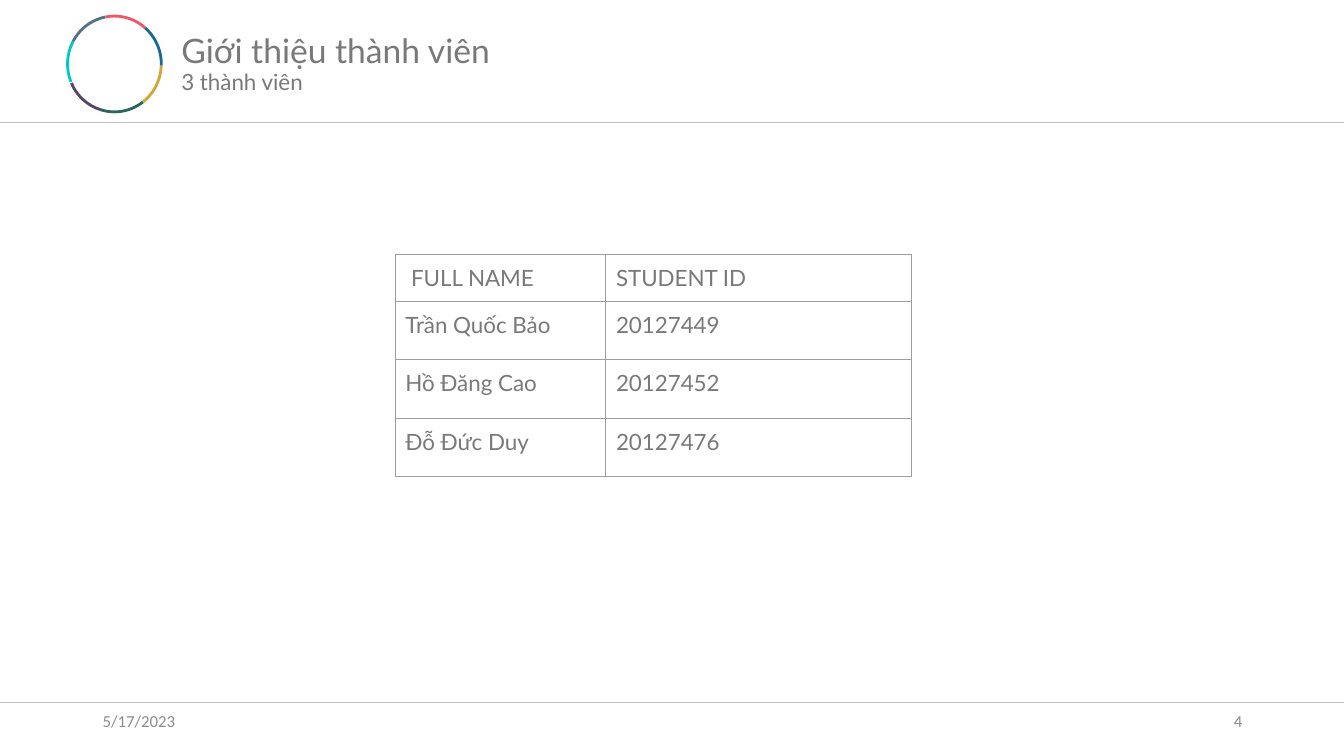
from lxml.etree import SubElement
from pptx import Presentation
from pptx.dml.color import RGBColor
from pptx.enum.shapes import MSO_CONNECTOR, MSO_SHAPE
from pptx.enum.text import MSO_ANCHOR, MSO_AUTO_SIZE, PP_ALIGN
from pptx.oxml.ns import qn
from pptx.util import Inches, Pt

WIDTH, HEIGHT = 13.33, 7.5
GRAY, PALE, RULE, EDGE = "797979", "8C8C8C", "BFBFBF", "9E9E9E"
ARCS = [
    (106.35, 156.17, "574563"),
    (157.56, 208.79, "01C9CB"),
    (259.32, 310.76, "F05568"),
    (310.8, 2.08, "1A6893"),
    (2.16, 52.7, "D6A633"),
    (53.04, 106.63, "29675C"),
    (208.7, 259.1, "547287"),
]
MEMBERS = [
    (" FULL NAME", "STUDENT ID"),
    ("Trần Quốc Bảo", "20127449"),
    ("Hồ Đăng Cao", "20127452"),
    ("Đỗ Đức Duy", "20127476"),
]


def color(code):
    """Turn a hex string into a colour."""
    return RGBColor.from_string(code)


def place(shape, left, top, width, height):
    """Set the position and size of a shape."""
    shape.left, shape.top = Inches(left), Inches(top)
    shape.width, shape.height = Inches(width), Inches(height)


def write(frame, text, size, font="Lato", code=GRAY, align=PP_ALIGN.LEFT):
    """Write one formatted run into a text frame."""
    line = frame.paragraphs[0]
    line.alignment = align
    run = line.add_run()
    run.text = text
    run.font.size = Pt(size)
    run.font.name = font
    run.font.color.rgb = color(code)


def add_title(slide, text):
    """Fill and place the title."""
    title = slide.shapes.title
    place(title, 1.7, 0.25, 4.97, 0.5)
    frame = title.text_frame
    frame.word_wrap = True
    frame.auto_size = MSO_AUTO_SIZE.SHAPE_TO_FIT_TEXT
    frame.vertical_anchor = MSO_ANCHOR.TOP
    write(frame, text, 24)


def add_text(slide, box, text, anchor=MSO_ANCHOR.TOP, **style):
    """Add a wrapped text box."""
    frame = slide.shapes.add_textbox(*map(Inches, box)).text_frame
    frame.word_wrap = True
    frame.vertical_anchor = anchor
    write(frame, text, **style)


def add_ring(slide):
    """Draw the ring of coloured arcs as a group."""
    ring = slide.shapes.add_group_shape()
    for start, end, code in ARCS:
        arc = ring.shapes.add_shape(
            MSO_SHAPE.ARC, Inches(0.67), Inches(0.16), Inches(0.93), Inches(0.95))
        arc.adjustments[0] = start * 0.6
        arc.adjustments[1] = end * 0.6
        arc.shadow.inherit = False
        arc.fill.background()
        arc.line.color.rgb = color(code)
        arc.line.width = Pt(2)


def add_rule(slide, top):
    """Draw a thin line across the slide."""
    rule = slide.shapes.add_connector(
        MSO_CONNECTOR.STRAIGHT, 0, Inches(top), Inches(WIDTH), Inches(top))
    rule.line.color.rgb = color(RULE)
    rule.line.width = Pt(0.5)
    SubElement(rule._element.spPr, qn("a:effectLst"))


def add_edges(cell):
    """Draw the four borders of a cell."""
    props = cell._tc.get_or_add_tcPr()
    for side in "LRTB":
        edge = SubElement(props, qn(f"a:ln{side}"), w=str(Pt(0.75)))
        fill = SubElement(edge, qn("a:solidFill"))
        SubElement(fill, qn("a:srgbClr"), val=EDGE)


def add_members(slide):
    """Add the table of members."""
    table = slide.shapes.add_table(
        len(MEMBERS), 2, Inches(3.92), Inches(2.52), Inches(5.12), Inches(2.11)).table
    table.first_row = table.horz_banding = False
    for column, width in zip(table.columns, (2.09, 3.03)):
        column.width = Inches(width)
    for i, row in enumerate(MEMBERS):
        table.rows[i].height = Inches(0.58 if i else 0.37)
        for j, text in enumerate(row):
            cell = table.cell(i, j)
            cell.margin_left = cell.margin_right = Inches(0.1)
            cell.margin_top = cell.margin_bottom = Inches(0.1)
            add_edges(cell)
            cell.fill.background()
            write(cell.text_frame, text, 16)


def main():
    """Build and save the slide."""
    deck = Presentation()
    deck.slide_width, deck.slide_height = Inches(WIDTH), Inches(HEIGHT)
    slide = deck.slides.add_slide(deck.slide_layouts[5])
    add_title(slide, "Giới thiệu thành viên")
    add_ring(slide)
    add_text(slide, (1.7, 0.63, 2.4, 0.37), "3 thành viên", size=16)
    for top in (1.21, 6.97):
        add_rule(slide, top)
    foot = {"anchor": MSO_ANCHOR.MIDDLE, "size": 12, "font": "Calibri", "code": PALE}
    add_text(slide, (9.42, 6.95, 3, 0.4), "4", align=PP_ALIGN.RIGHT, **foot)
    add_text(slide, (0.92, 6.95, 3, 0.4), "5/17/2023", **foot)
    add_members(slide)
    deck.save("out.pptx")


if __name__ == "__main__":
    main()
